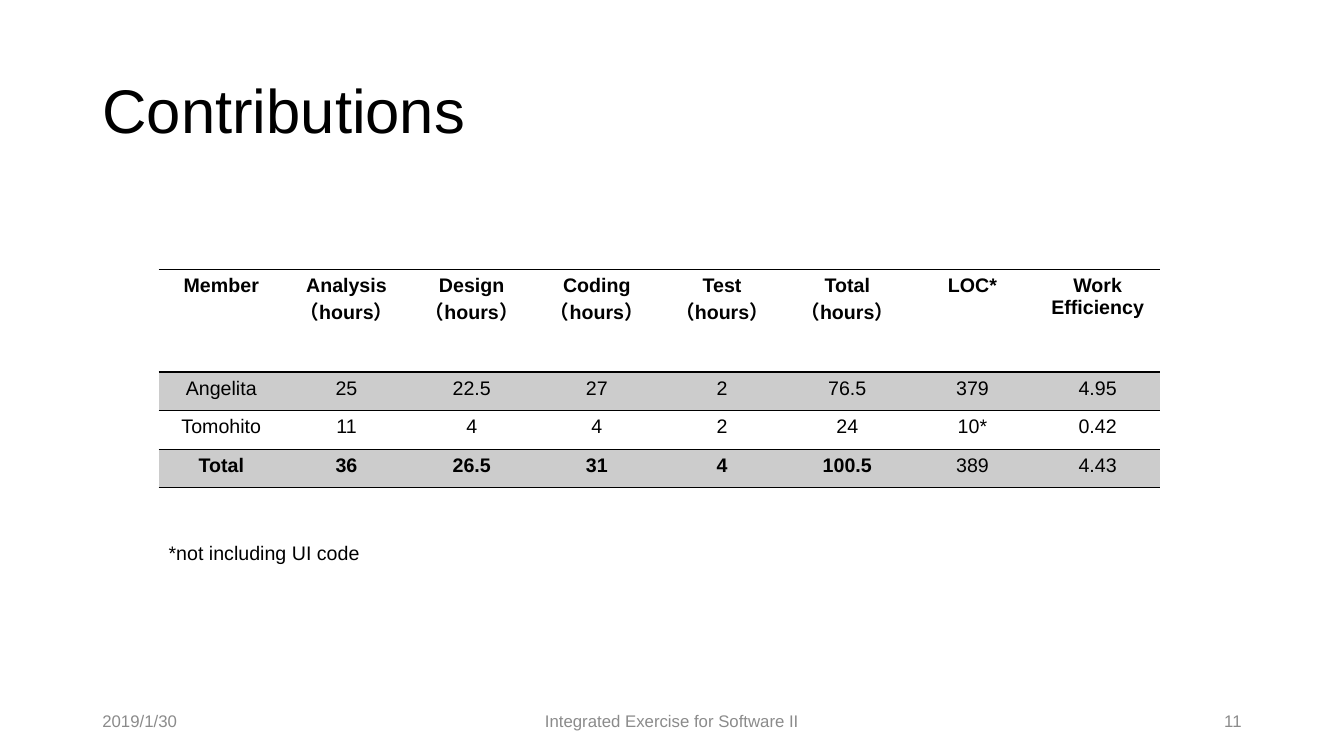
"""Build the Contributions slide with its table of work hours."""
from lxml.etree import SubElement
from pptx import Presentation
from pptx.dml.color import RGBColor
from pptx.enum.text import MSO_ANCHOR as ANCHOR, PP_ALIGN as ALIGN
from pptx.oxml.ns import qn
from pptx.util import Cm, Pt


def color(value):
    return RGBColor.from_string(value)


def write(tf, text, size=14, fill="000000", bold=False, align=ALIGN.LEFT, spacing=None):
    for i, line in enumerate(text.split("\n")):
        p = tf.add_paragraph() if i else tf.paragraphs[0]
        p.alignment = align
        p.line_spacing = spacing
        r = p.add_run()
        r.text = line
        r.font.name = "Arial"
        r.font.size = Pt(size)
        r.font.bold = bold
        r.font.color.rgb = color(fill)


prs = Presentation()
prs.slide_width, prs.slide_height = Cm(33.87), Cm(19.05)
s = prs.slides.add_slide(prs.slide_layouts[6])

footer = dict(size=12, fill="8B8B8B")
texts = [
    ("Contributions", 2.33, 1.01, 29.21, 3.68, dict(size=44, spacing=0.9)),
    ("2019/1/30", 2.33, 17.66, 7.62, 1.01, footer),
    ("Integrated Exercise for Software II", 11.22, 17.66, 11.43, 1.01,
     dict(footer, align=ALIGN.CENTER)),
    ("11", 23.92, 17.66, 7.62, 1.01, dict(footer, align=ALIGN.RIGHT)),
    ("*not including UI code", 4, 13.38, 21.82, 1.11, {}),
]
for text, left, top, width, height, style in texts:
    tf = s.shapes.add_textbox(Cm(left), Cm(top), Cm(width), Cm(height)).text_frame
    tf.word_wrap = True
    tf.vertical_anchor = ANCHOR.MIDDLE
    write(tf, text, **style)

rows = [
    ["Member", "Analysis\n（hours）", "Design\n（hours）", "Coding\n（hours）",
     "Test\n（hours）", "Total\n（hours）", "LOC*", "Work Efficiency"],
    ["Angelita", "25", "22.5", "27", "2", "76.5", "379", "4.95"],
    ["Tomohito", "11", "4", "4", "2", "24", "10*", "0.42"],
    ["Total", "36", "26.5", "31", "4", "100.5", "389", "4.43"],
]
heights = [2.59, 0.97, 0.97, 0.97]
table = s.shapes.add_table(len(rows), len(rows[0]), Cm(4), Cm(6.79),
                           Cm(25.24), Cm(sum(heights))).table
table.first_row = table.horz_banding = False
for column in table.columns:
    column.width = Cm(3.155)

for i, (values, height) in enumerate(zip(rows, heights)):
    table.rows[i].height = Cm(height)
    for j, value in enumerate(values):
        cell = table.cell(i, j)
        bold = i == 0 or (i == 3 and j < 6)
        write(cell.text_frame, value, bold=bold, align=ALIGN.CENTER)
        tc_pr = cell._tc.get_or_add_tcPr()
        rules = {"lnL": 0, "lnR": 0, "lnT": 1.5 if i == 1 else 1, "lnB": 1.5 if i == 0 else 1}
        for side, width in rules.items():
            ln = SubElement(tc_pr, qn(f"a:{side}"), w=str(Pt(width)))
            if width:
                SubElement(SubElement(ln, qn("a:solidFill")), qn("a:srgbClr"), val="000000")
            else:
                SubElement(ln, qn("a:noFill"))
        if i % 2:
            cell.fill.solid()
            cell.fill.fore_color.rgb = color("CCCCCC")
        else:
            cell.fill.background()

prs.save("out.pptx")
